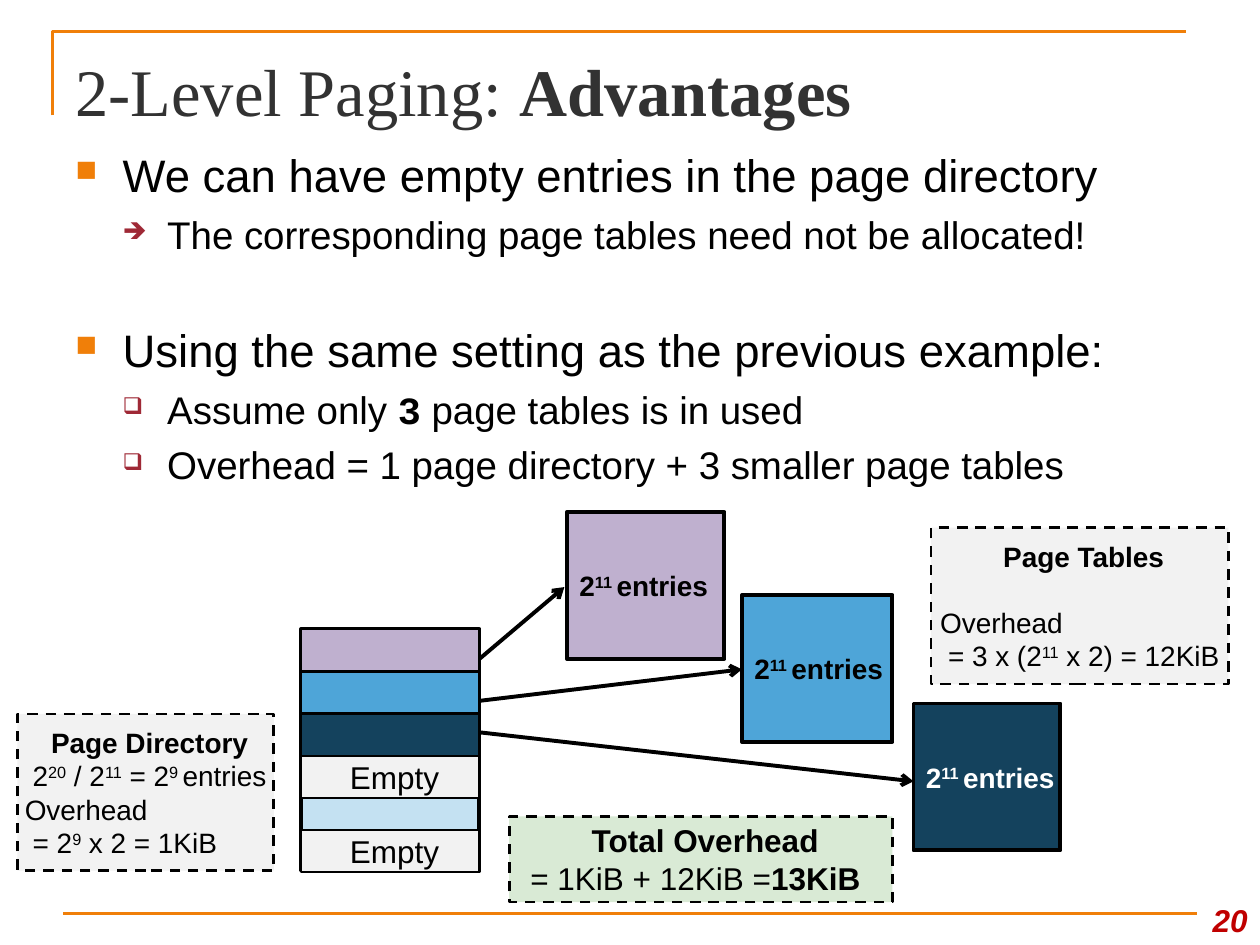
from dataclasses import dataclass, field

from lxml import etree
from pptx import Presentation
from pptx.dml.color import RGBColor
from pptx.enum.dml import MSO_LINE
from pptx.enum.shapes import MSO_CONNECTOR, MSO_SHAPE
from pptx.enum.text import MSO_ANCHOR, PP_ALIGN
from pptx.oxml.ns import qn
from pptx.util import Pt

RECT, LINE, DASH = MSO_SHAPE.RECTANGLE, MSO_CONNECTOR.STRAIGHT, MSO_LINE.DASH
TOP, MIDDLE, BOTTOM = MSO_ANCHOR.TOP, MSO_ANCHOR.MIDDLE, MSO_ANCHOR.BOTTOM
LEFT, CENTER, RIGHT = PP_ALIGN.LEFT, PP_ALIGN.CENTER, PP_ALIGN.RIGHT

HEX = {
    "black": "000000", "white": "FFFFFF", "gray": "F2F2F2", "title": "323232",
    "orange": "F07F09", "wine": "9F2936", "red": "C00000", "green": "D9EAD5",
    "purple": "BFB0CF", "blue": "4EA5D8", "navy": "14425D", "pale": "C4E1F2",
}


@dataclass
class Para:
    """Text in which *...* is bold and ^...^ is superscript."""
    text: str
    size: float
    align: int = LEFT
    before: float = 0
    margin: float = 0
    indent: float = 0
    bullet: str = ""
    tint: str = ""
    scale: int = 100
    color: str = "black"
    face: str = "Arial"
    strong: str = "Arial"
    italic: bool = False


@dataclass
class Box:
    left: float
    top: float
    width: float
    height: float
    fill: str = ""
    weight: float = 1.5
    dash: bool = False
    anchor: int = MIDDLE
    wrap: bool = False
    paras: list[Para] = field(default_factory=list)


def rgb(name: str) -> RGBColor:
    return RGBColor.from_string(HEX[name])


def add_marks(item, para: Para) -> None:
    """Set the indents and the bullet of a paragraph."""
    props = item._p.get_or_add_pPr()
    props.set("marL", str(Pt(para.margin)))
    props.set("indent", str(Pt(para.indent)))
    if not para.bullet:
        etree.SubElement(props, qn("a:buNone"))
        return
    tint = etree.SubElement(props, qn("a:buClr"))
    etree.SubElement(tint, qn("a:srgbClr"), val=HEX[para.tint])
    etree.SubElement(props, qn("a:buSzPct"), val=str(para.scale * 1000))
    etree.SubElement(props, qn("a:buChar"), char=para.bullet)


def add_run(item, text: str, para: Para, bold: bool, raised: bool) -> None:
    run = item.add_run()
    run.text = text
    style = {"name": para.strong if bold else para.face, "size": Pt(para.size),
             "bold": bold, "italic": para.italic}
    for key, value in style.items():
        setattr(run.font, key, value)
    run.font.color.rgb = rgb(para.color)
    if raised:
        run._r.get_or_add_rPr().set("baseline", "30000")


def write(frame, box: Box) -> None:
    frame.word_wrap = box.wrap
    frame.vertical_anchor = box.anchor
    for n, para in enumerate(box.paras):
        item = frame.add_paragraph() if n else frame.paragraphs[0]
        add_marks(item, para)
        for key, value in {"alignment": para.align,
                           "space_before": Pt(para.before)}.items():
            setattr(item, key, value)
        for i, part in enumerate(para.text.split("*")):
            for j, piece in enumerate(part.split("^")):
                if piece:
                    add_run(item, piece, para, i % 2 == 1, j % 2 == 1)


def draw_box(shapes, box: Box) -> None:
    area = [Pt(v) for v in (box.left, box.top, box.width, box.height)]
    if box.fill:
        shape = shapes.add_shape(RECT, *area)
        shape.shadow.inherit = False
        shape.fill.solid()
        shape.fill.fore_color.rgb = rgb(box.fill)
        shape.line.color.rgb = rgb("black")
        shape.line.width = Pt(box.weight)
        if box.dash:
            shape.line.dash_style = DASH
    else:
        shape = shapes.add_textbox(*area)
    if box.paras:
        write(shape.text_frame, box)


def draw_line(shapes, ends: tuple, color: str, weight: float, arrow: bool) -> None:
    line = shapes.add_connector(LINE, *[Pt(v) for v in ends])
    line.line.color.rgb = rgb(color)
    line.line.width = Pt(weight)
    if arrow:
        etree.SubElement(line.line._get_or_add_ln(), qn("a:tailEnd"), type="arrow")
    etree.SubElement(line._element.spPr, qn("a:effectLst"))


def draw_frame(shapes) -> None:
    """Draw the orange corner and the foot rule."""
    path = shapes.build_freeform(Pt(30), Pt(66), scale=1.0)
    path.add_line_segments([(Pt(30), Pt(18)), (Pt(678), Pt(18))], close=False)
    corner = path.convert_to_shape()
    corner.shadow.inherit = False
    corner.fill.background()
    corner.line.color.rgb = rgb("orange")
    corner.line.width = Pt(1.5)
    draw_line(shapes, (36, 522, 684, 522), "orange", 1.5, False)


def point(text: str, before: float = 0) -> Para:
    return Para(text, 26, before=before, margin=27, indent=-27,
                bullet="■", tint="orange", scale=65)


def detail(text: str, bullet: str) -> Para:
    return Para(text, 22, before=5.3, margin=52.5, indent=-25.5, bullet=bullet,
                tint="wine", scale=60, strong="Courier New")


TEXTS = [
    Box(36, 21.6, 648, 56, anchor=BOTTOM, wrap=True, paras=[
        Para("2-Level Paging: *Advantages*", 38, color="title",
             face="Times New Roman", strong="Times New Roman")]),
    Box(36, 80.7, 648, 204, anchor=TOP, wrap=True, paras=[
        point("We can have empty entries in the page directory"),
        detail("The corresponding page tables need not be allocated!", "➔"),
        point("Using the same setting as the previous example:", 37),
        detail("Assume only *3* page tables is in used", "❑"),
        detail("Overhead = 1 page directory + 3 smaller page tables", "❑")]),
    Box(678, 504, 42, 36, anchor=BOTTOM, wrap=True, paras=[
        Para("*20*", 18, RIGHT, color="red", italic=True)]),
]

COL, WIDE, ROW, STEP = 172, 102, 24, 24.3
HEAD = 359.5
EMPTY = [Para("Empty", 18, CENTER, margin=5)]
ROWS = [Box(COL, HEAD, WIDE, 138, "pale", 2.25)]
ROWS += [Box(COL, HEAD + n * STEP, WIDE, ROW, fill)
         for n, fill in enumerate(("purple", "blue", "navy"))]
ROWS += [Box(COL, top, WIDE, ROW, "gray", paras=EMPTY) for top in (432, 474.3)]

TABLES = [
    Box(left, top, width, 84, fill, 2.25,
        paras=[Para("*2^11 ^entries*", 16, color=ink)])
    for left, top, width, fill, ink in (
        (324, 292.5, 90, "purple", "black"),
        (522, 402, 84, "navy", "white"),
        (424, 340, 86, "blue", "black"))
]

ARROWS = [(274, 376.5, 322.5, 335.5), (274, 400.5, 424, 382.5),
          (274, 418.5, 522, 446.5)]

NOTES = [
    Box(10, 408, 146.5, 89.5, "gray", dash=True, paras=[
        Para("*Page Directory*", 16, CENTER, margin=4.5),
        Para("2^20^ / 2^11^ = 2^9 ^entries", 16, CENTER, margin=4.5),
        Para("Overhead", 16),
        Para("= 2^9^ x 2 = 1KiB", 16, margin=4.5)]),
    Box(532, 301.5, 170, 89.5, "gray", dash=True, paras=[
        Para("*Page Tables*", 16, CENTER, margin=4.5),
        Para("Overhead", 16, before=18.4),
        Para("= 3 x (2^11^ x 2) = 12KiB", 16, margin=4.5)]),
    Box(291, 466.5, 219, 49, "green", dash=True, paras=[
        Para("*Total Overhead*", 18, CENTER, margin=5),
        Para("= 1KiB + 12KiB =*13KiB*", 18, margin=5)]),
]


def main() -> None:
    deck = Presentation()
    deck.slide_width, deck.slide_height = Pt(720), Pt(540)
    shapes = deck.slides.add_slide(deck.slide_layouts[6]).shapes
    draw_frame(shapes)
    for box in TEXTS + ROWS + TABLES:
        draw_box(shapes, box)
    for ends in ARROWS:
        draw_line(shapes, ends, "black", 2.25, True)
    for box in NOTES:
        draw_box(shapes, box)
    deck.save("out.pptx")


if __name__ == "__main__":
    main()
